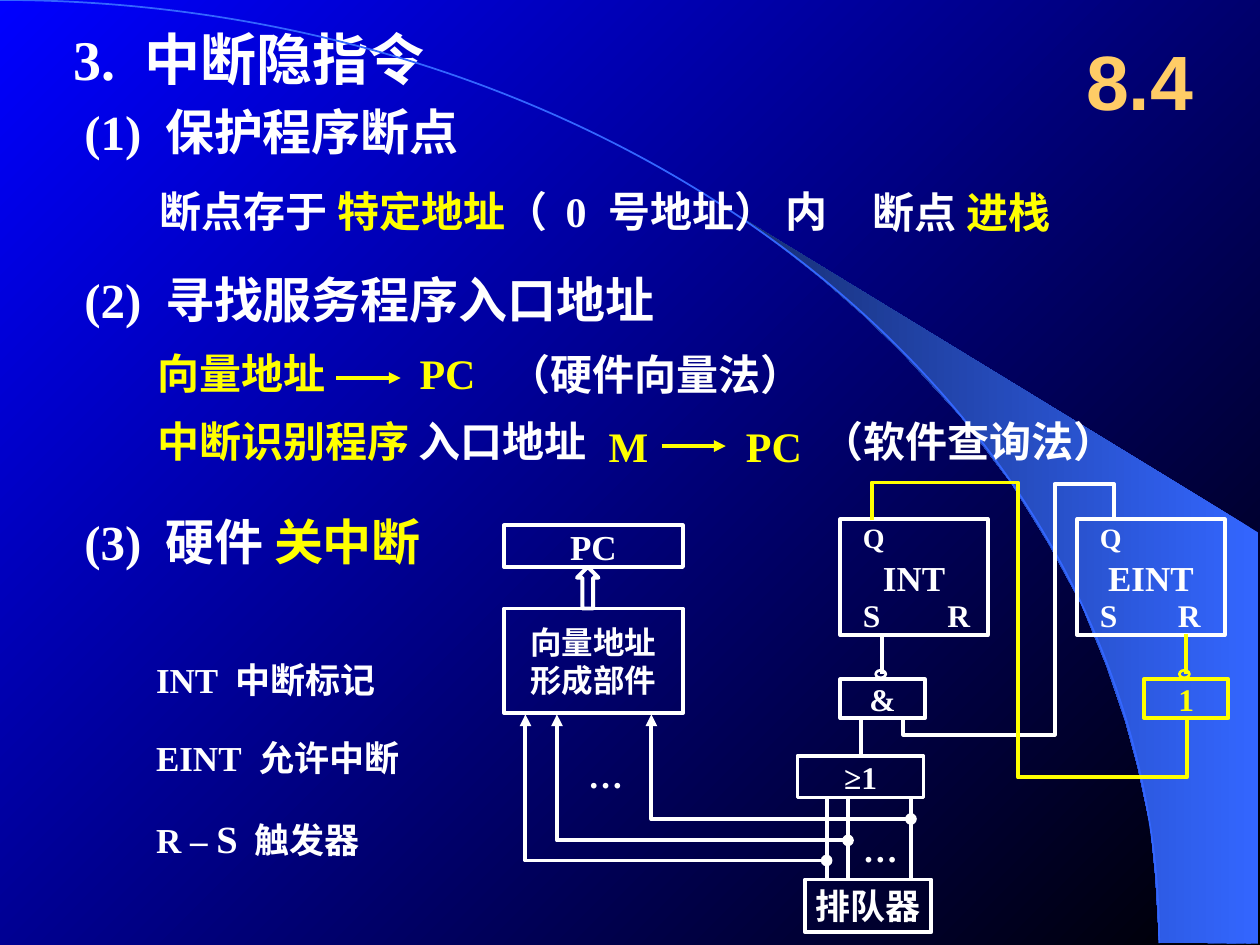
import pptx
import pptx.dml.color
import pptx.enum.shapes
import pptx.enum.text
import pptx.oxml.ns
import pptx.util
from lxml import etree

Inches = pptx.util.Inches
SHAPE = pptx.enum.shapes.MSO_SHAPE
ALIGN = pptx.enum.text.PP_ALIGN
ANCHOR = pptx.enum.text.MSO_ANCHOR
qn = pptx.oxml.ns.qn

WHITE = pptx.dml.color.RGBColor(0xFF, 0xFF, 0xFF)
YELLOW = pptx.dml.color.RGBColor(0xFF, 0xFF, 0x00)
GOLD = pptx.dml.color.RGBColor(0xFF, 0xCC, 0x66)
BLACK = pptx.dml.color.RGBColor(0x00, 0x00, 0x00)
BLUE = pptx.dml.color.RGBColor(0x00, 0x00, 0xFF)
SKY = pptx.dml.color.RGBColor(0x33, 0x66, 0xFF)
NAVY = pptx.dml.color.RGBColor(0x17, 0x2F, 0x75)


def set_gradient(fill, first, last, angle):
    fill.gradient()
    fill.gradient_angle = angle
    for stop, colour in zip(fill.gradient_stops, (first, last)):
        stop.color.rgb = colour


def write(shape, lines, size, font="Times New Roman", align=ALIGN.LEFT,
          anchor=ANCHOR.MIDDLE, inset=0.1, wrap=False, tabs=()):
    frame = shape.text_frame
    frame.auto_size = pptx.enum.text.MSO_AUTO_SIZE.NONE
    frame.word_wrap = wrap
    frame.vertical_anchor = anchor
    frame.margin_left = frame.margin_right = Inches(inset)
    frame.margin_top = frame.margin_bottom = Inches(0.05)
    for index, spans in enumerate(lines):
        para = frame.add_paragraph() if index else frame.paragraphs[0]
        para.alignment = align
        if tabs:
            stops = etree.SubElement(para._p.get_or_add_pPr(), qn("a:tabLst"))
            for stop in tabs:
                etree.SubElement(stops, qn("a:tab"), pos=str(Inches(stop)), algn="l")
        para.font.name = font
        para.font.size = pptx.util.Pt(size)
        para.font.bold = True
        for text, colour, *own_size in spans:
            span = para.add_run()
            span.text = text
            span.font.color.rgb = colour
            if own_size:
                span.font.size = pptx.util.Pt(own_size[0])


def add_text(page, left, top, width, height, spans, size, **style):
    box = page.shapes.add_textbox(Inches(left), Inches(top), Inches(width), Inches(height))
    write(box, [spans], size, **style)


def set_line(shape, colour, weight=2.25, head=None, tail=None):
    shape.line.color.rgb = colour
    shape.line.width = pptx.util.Pt(weight)
    outline = shape._element.spPr.find(qn("a:ln"))
    for tag, kind in (("a:headEnd", head), ("a:tailEnd", tail)):
        if kind:
            etree.SubElement(outline, qn(tag), type=kind)


def add_outline(page, kind, left, top, width, height, colour=WHITE, weight=2.25):
    shape = page.shapes.add_shape(kind, Inches(left), Inches(top), Inches(width), Inches(height))
    shape.shadow.inherit = False
    shape.fill.background()
    set_line(shape, colour, weight)
    return shape


def add_block(page, left, top, width, height, lines, size, colour=WHITE):
    block = add_outline(page, SHAPE.RECTANGLE, left, top, width, height, colour)
    write(block, [[(line, colour)] for line in lines], size, align=ALIGN.CENTER)


def add_line(page, x1, y1, x2, y2, colour=WHITE, tail=None):
    line = page.shapes.add_connector(pptx.enum.shapes.MSO_CONNECTOR.STRAIGHT,
                                     Inches(x1), Inches(y1), Inches(x2), Inches(y2))
    set_line(line, colour, tail=tail)
    etree.SubElement(line._element.spPr, qn("a:effectLst"))


def add_outline_path(page, points, close=False):
    start, *rest = [(Inches(x), Inches(y)) for x, y in points]
    builder = page.shapes.build_freeform(*start)
    builder.add_line_segments(rest, close=close)
    shape = builder.convert_to_shape()
    shape.shadow.inherit = False
    return shape


def add_wire(page, points, colour=WHITE, head=None, tail=None):
    wire = add_outline_path(page, points)
    wire.fill.background()
    set_line(wire, colour, head=head, tail=tail)


def draw_backdrop(page):
    set_gradient(page.background.fill, BLACK, BLUE, 135)
    crescent = add_outline_path(page, [
        (9.2, 7.48), (9.99, 7.49), (9.99, 4.23), (5.89, 1.73), (6.24, 1.99), (6.53, 2.22),
        (6.85, 2.5), (7.16, 2.8), (7.62, 3.3), (8.03, 3.84), (8.32, 4.31), (8.58, 4.79),
        (8.78, 5.28), (8.93, 5.72), (9.03, 6.09), (9.13, 6.56), (9.17, 6.96)], close=True)
    set_gradient(crescent.fill, SKY, NAVY, 180)
    crescent.line.fill.background()
    add_outline(page, SHAPE.ARC, -9.2, 0, 18.4, 14.97, SKY, 1)


def fill_headings(page, left, top):
    title = page.shapes.title
    title.left, title.top = Inches(left), Inches(top)
    title.width, title.height = Inches(4.25), Inches(0.58)
    write(title, [[("3.\t中断隐指令", WHITE)]], 32, inset=0, tabs=[0.57])
    headings = [
        (0.58, 0.58, [("(1)\t保护程序断点", WHITE)]),
        (1.91, 0.58, [("(2)\t寻找服务程序入口地址", WHITE)]),
        (3.75, 0.75, [("(3)\t硬件 ", WHITE), ("关中断", YELLOW)]),
    ]
    for offset, height, spans in headings:
        add_text(page, left + 0.09, top + offset, 6.58, height, spans, 28, inset=0, tabs=[0.64])
    add_text(page, 8.42, top, 1.25, 0.92, [("8.4", GOLD)], 44, font="Arial",
             align=ALIGN.CENTER, wrap=True)


def fill_breakpoint(page, left, top):
    add_text(page, left, top, 5.83, 0.5,
             [("断点存于 ", WHITE), ("特定地址", YELLOW), ("（\t0\t号地址） 内", WHITE)],
             24, anchor=ANCHOR.TOP, wrap=True, tabs=[3.22, 3.56])
    add_text(page, left + 5.66, top + 0.01, 2.33, 0.5,
             [("断点 ", WHITE), ("进栈", YELLOW)], 24, anchor=ANCHOR.TOP, wrap=True)


def fill_entry_address(page, left, top):
    labels = [
        (0, 0, 1.42, [("向量地址", YELLOW)]),
        (2.08, 0, 0.5, [("PC", YELLOW)]),
        (0, 0.54, 3.5, [("中断识别程序 ", YELLOW), ("入口地址", WHITE)]),
        (3.58, 0.58, 0.5, [("M", YELLOW)]),
        (4.67, 0.58, 0.5, [("PC", YELLOW)]),
    ]
    for x, y, width, spans in labels:
        add_text(page, left + x, top + y, width, 0.58, spans, 24, inset=0)
    for x, y, method in ((2.69, 0.05, "（硬件向量法）"), (5.17, 0.58, "（软件查询法）")):
        add_text(page, left + x, top + y, 3.5, 0.5, [(method, WHITE)], 24,
                 anchor=ANCHOR.TOP, wrap=True)
    for x, y in ((1.42, 0.33), (4, 0.87)):
        add_line(page, left + x, top + y, left + x + 0.51, top + y, YELLOW, "triangle")


def fill_legend(page, left, top):
    entries = [
        (0.63, [("INT\t中断标记", WHITE)]),
        (0.82, [("EINT\t允许中断", WHITE)]),
        (0.78, [("R – ", WHITE), ("S", WHITE, 22), ("\t触发器", WHITE)]),
    ]
    for row, (tab, spans) in enumerate(entries):
        add_text(page, left, top + 0.62 * row, 2.13, 0.44, spans, 20,
                 anchor=ANCHOR.TOP, tabs=[tab])


def draw_vector_unit(page, left, top):
    add_block(page, left, top, 1.42, 0.33, ["PC"], 20)
    add_outline(page, SHAPE.UP_ARROW, left + 0.58, top + 0.33, 0.17, 0.33)
    add_block(page, left, top + 0.66, 1.42, 0.83, ["向量地址", "形成部件"], 18)
    for x, y, end in ((1.17, 2.33, 3.23), (0.42, 2.5, 2.73), (0.17, 2.66, 2.56)):
        add_wire(page, [(left + x, top + 1.5), (left + x, top + y), (left + end, top + y)],
                 head="triangle", tail="oval")
    add_text(page, left + 0.57, top + 1.76, 0.48, 0.44, [("…", WHITE)], 20, anchor=ANCHOR.TOP)


def draw_flip_flop(page, left, top, name, reset_offset):
    add_block(page, left, top, 1.17, 0.92, [name], 20)
    for text, x, y, size in (("Q", 0.08, -0.04, 16), ("S", 0.08, 0.56, 18),
                             ("R", reset_offset, 0.56, 18)):
        add_text(page, left + x, top + y, 0.38, 0.4, [(text, WHITE)], size, anchor=ANCHOR.TOP)


def draw_gate(page, left, top, label, colour):
    add_outline(page, SHAPE.OVAL, left + 0.28, top - 0.07, 0.08, 0.06, colour, 1.5)
    add_block(page, left, top, 0.67, 0.31, [label], 18, colour)
    add_line(page, left + 0.33, top - 0.36, left + 0.33, top - 0.04, colour)


def draw_queue(page, left, top):
    add_block(page, left, top, 1, 0.33, ["≥1"], 18)
    add_block(page, left + 0.06, top + 0.98, 1, 0.42, ["排队器"], 20)
    for x in (0.23, 0.4, 0.9):
        add_line(page, left + x, top + 0.33, left + x, top + 0.98)
    add_text(page, left + 0.42, top + 0.52, 0.48, 0.44, [("…", WHITE)], 20, anchor=ANCHOR.TOP)
    add_line(page, left + 0.5, top - 0.3, left + 0.5, top)


def draw_feedback(page, left, top):
    def place(points):
        return [(left + x, top + y) for x, y in points]

    add_wire(page, place([(0.25, 1.87), (0.25, 2), (1.45, 2), (1.45, 0.01),
                          (1.92, 0.01), (1.92, 0.28)]))
    add_wire(page, place([(2.5, 1.88), (2.5, 2.34), (1.16, 2.34), (1.16, 0),
                          (0, 0), (0, 0.3)]), YELLOW)


def main():
    deck = pptx.Presentation()
    deck.slide_width, deck.slide_height = Inches(10), Inches(7.5)
    page = deck.slides.add_slide(deck.slide_layouts.get_by_name("Title Only"))
    draw_backdrop(page)
    fill_headings(page, 0.58, 0.17)
    draw_vector_unit(page, 4, 4.17)
    draw_flip_flop(page, 6.67, 4.12, "INT", 0.75)
    draw_flip_flop(page, 8.55, 4.12, "EINT", 0.7)
    draw_gate(page, 6.67, 5.39, "&", WHITE)
    draw_gate(page, 9.08, 5.39, "1", YELLOW)
    draw_queue(page, 6.33, 6)
    draw_feedback(page, 6.92, 3.83)
    fill_breakpoint(page, 1.17, 1.42)
    fill_entry_address(page, 1.25, 2.67)
    fill_legend(page, 1.14, 5.18)
    deck.save("out.pptx")


if __name__ == "__main__":
    main()
